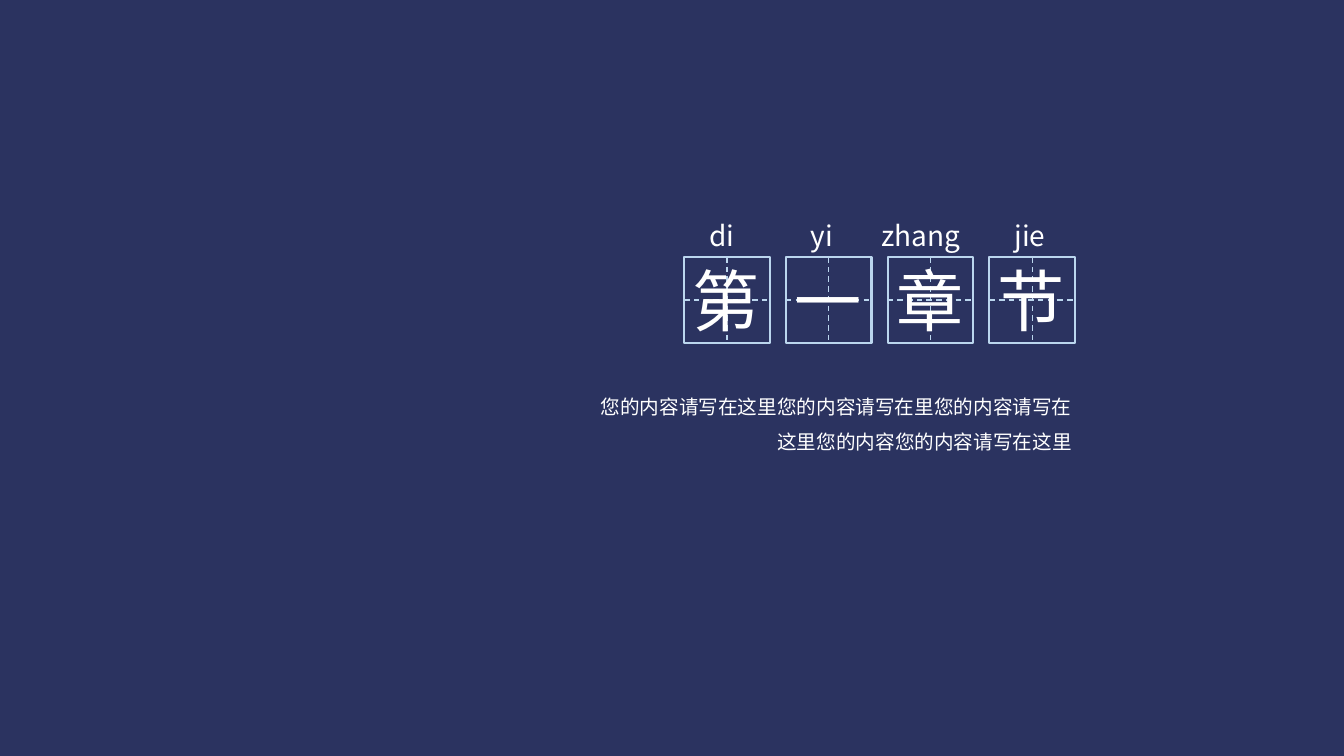
from lxml import etree
from pptx import Presentation
from pptx import util as u
from pptx.dml.color import RGBColor
from pptx.enum import dml, shapes, text
from pptx.oxml.ns import qn

# Content: character, pinyin, left and width of the pinyin box
SYLLABLES = [
    ("第", "di", 499.7, 39.6),
    ("一", "yi", 572.4, 39.6),
    ("章", "zhang", 622.8, 86.4),
    ("节", "jie", 717.8, 46.8),
]
BODY = "您的内容请写在这里您的内容请写在里您的内容请写在这里您的内容您的内容请写在这里"

COLORS = {"navy": "2B3360", "grid": "BBD6EE", "text": "FFFFFF"}
TITLE_FONT, BODY_FONT = "Noto Sans CJK JP", "Noto Sans CJK SC"
WIDTH, HEIGHT = 960.48, 540
GRID_LEFT, GRID_TOP, GRID_SIZE, GRID_PITCH = 488.9, 183.6, 61.2, 72.72

deck = Presentation()
deck.slide_width, deck.slide_height = u.Pt(WIDTH), u.Pt(HEIGHT)
page = deck.slides.add_slide(deck.slide_layouts[6])


def color(name):
    return RGBColor.from_string(COLORS[name])


def add_rect(parent, left, top, width, height):
    rect = parent.shapes.add_shape(
        shapes.MSO_SHAPE.RECTANGLE, *map(u.Pt, (left, top, width, height)))
    rect.shadow.inherit = False
    return rect


def add_guide(parent, *ends):
    guide = parent.shapes.add_connector(
        shapes.MSO_CONNECTOR.STRAIGHT, *map(u.Pt, ends))
    guide.line.color.rgb = color("grid")
    guide.line.width = u.Pt(1)
    guide.line.dash_style = dml.MSO_LINE.DASH
    etree.SubElement(guide._element.spPr, qn("a:effectLst"))


def add_grid(left, top, size):
    """Square writing cell with a dashed cross."""
    cell = page.shapes.add_group_shape()
    frame = add_rect(cell, left, top, size, size)
    frame.fill.background()
    frame.line.color.rgb = color("grid")
    frame.line.width = u.Pt(1.5)
    mid = size / 2
    add_guide(cell, left, top + mid, left + size, top + mid)
    add_guide(cell, left + mid, top, left + mid, top + size)


def add_text(words, left, top, width, height, size, font=TITLE_FONT,
             wrap=False, **para_format):
    box = page.shapes.add_textbox(*map(u.Pt, (left, top, width, height)))
    box.text_frame.word_wrap = wrap
    box.text_frame.auto_size = text.MSO_AUTO_SIZE.SHAPE_TO_FIT_TEXT
    para = box.text_frame.paragraphs[0]
    for name, value in para_format.items():
        setattr(para, name, value)
    span = para.add_run()
    span.text = words
    for name, value in {"size": u.Pt(size), "name": font}.items():
        setattr(span.font, name, value)
    span.font.color.rgb = color("text")
    etree.SubElement(span._r.get_or_add_rPr(), qn("a:ea"), typeface=font)


# Background
backdrop = add_rect(page, 0, 0, WIDTH, HEIGHT)
backdrop.fill.solid()
backdrop.fill.fore_color.rgb = color("navy")
backdrop.line.fill.background()

# Writing cells
for index in range(len(SYLLABLES)):
    add_grid(GRID_LEFT + index * GRID_PITCH, GRID_TOP, GRID_SIZE)

# Chapter title with its pinyin
for index, (character, pinyin, left, width) in enumerate(SYLLABLES):
    add_text(character, GRID_LEFT - 1 + index * GRID_PITCH, 181.4, 67, 65.5, 48)
    add_text(pinyin, left, 152.6, width, 31.7, 20)

# Description
add_text(BODY, 419, 270, 354.2, 58.3, 14, BODY_FONT, wrap=True,
         alignment=text.PP_ALIGN.RIGHT, line_spacing=1.5)

deck.save("out.pptx")
